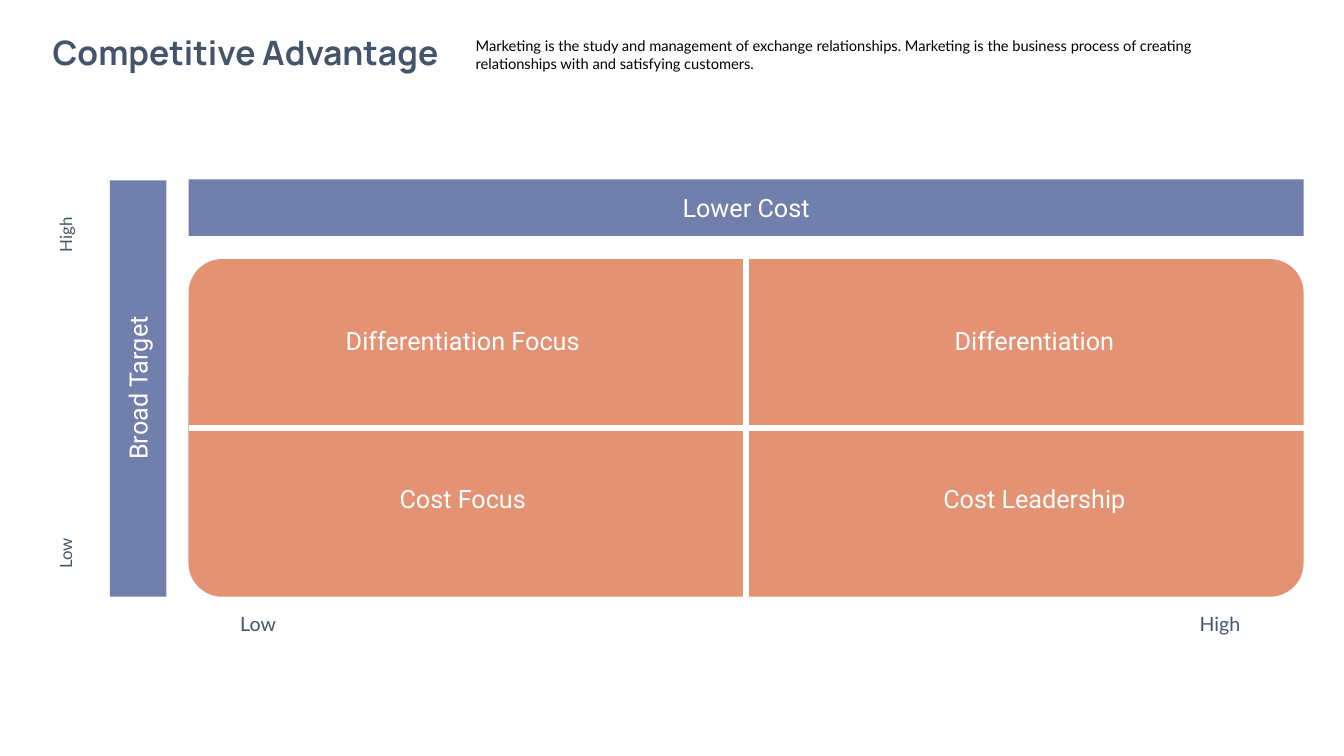
import pptx
import pptx.util
import pptx.dml.color
import pptx.enum.shapes
import pptx.enum.text
import pptx.oxml

Inches, Pt = pptx.util.Inches, pptx.util.Pt
RGBColor = pptx.dml.color.RGBColor
Kind = pptx.enum.shapes.MSO_SHAPE
Align = pptx.enum.text.PP_ALIGN
Fit = pptx.enum.text.MSO_AUTO_SIZE

SLATE = RGBColor(0x44, 0x54, 0x6A)
BLUE = RGBColor(0x71, 0x7F, 0xAC)
CORAL = RGBColor(0xE3, 0x92, 0x74)
WHITE = RGBColor(0xFF, 0xFF, 0xFF)
BLACK = RGBColor(0, 0, 0)

# Content
TITLE = "Competitive Advantage"
INTRO = ("Marketing is the study and management of exchange relationships. "
         "Marketing is the business process of creating relationships with "
         "and satisfying customers.")
GRID = [["Differentiation Focus", "Differentiation"],
        ["Cost Focus", "Cost Leadership"]]
SIDE, TOP = "Broad Target", "Lower Cost"
SIDE_ENDS = [("High", 2.18), ("Low", 5.34)]
BASE_ENDS = [("Low", 2.04), ("High", 11.58)]

# Layout of the matrix
LEFT, UPPER, WIDE, TALL = 1.87, 2.57, 11.06, 3.35
BAR = 0.56
MID_X, MID_Y = LEFT + WIDE / 2, UPPER + TALL / 2

prs = pptx.Presentation()
prs.slide_width, prs.slide_height = Inches(13.33), Inches(7.5)
slide = prs.slides.add_slide(prs.slide_layouts[5])
shapes = slide.shapes


def write(text, box, size=18, font="Roboto", color=WHITE, align=Align.CENTER,
          bold=False, turn=0, wrap=True, item=None):
    x, y, w, h = map(Inches, box)
    if item is None:
        item = shapes.add_textbox(x, y, w, h)
    item.left, item.top, item.width, item.height = x, y, w, h
    item.rotation = turn
    frame = item.text_frame
    frame.text = text
    frame.word_wrap = wrap
    frame.auto_size = Fit.SHAPE_TO_FIT_TEXT
    frame.vertical_anchor = pptx.enum.text.MSO_ANCHOR.TOP
    para = frame.paragraphs[0]
    para.alignment = align
    face = para.runs[0].font
    face.name, face.size, face.bold = font, Pt(size), bold
    face.color.rgb = color


def block(kind, box, color):
    item = shapes.add_shape(kind, *map(Inches, box))
    item.shadow.inherit = False
    item.fill.solid()
    item.fill.fore_color.rgb = color
    item.line.fill.background()
    return item


def rule(*ends):
    line = shapes.add_connector(pptx.enum.shapes.MSO_CONNECTOR.STRAIGHT,
                                *map(Inches, ends))
    line.line.color.rgb = WHITE
    line.line.width = Pt(3.75)
    props = line.element.spPr
    props.append(pptx.oxml.parse_xml(
        '<a:effectLst xmlns:a='
        '"http://schemas.openxmlformats.org/drawingml/2006/main"/>'))


# Heading
write(TITLE, (0.25, 0.27, 4.37, 0.5), size=24, font="Manrope", color=SLATE,
      bold=True, wrap=False, item=shapes.title)
write(INTRO, (4.62, 0.32, 7.72, 0.45), size=10.5, font="Lato", color=BLACK,
      align=Align.LEFT)

# Matrix
panel = block(Kind.ROUNDED_RECTANGLE, (LEFT, UPPER, WIDE, TALL), CORAL)
panel.adjustments[0] = 0.1
for row, names in enumerate(GRID):
    for col, name in enumerate(names):
        write(name, (2.96 + 5.67 * col, 3.18 + 1.57 * row, 3.26, 0.45))

# Axis bars
block(Kind.RECTANGLE, (1.09, 1.79, BAR, 4.13), BLUE)
block(Kind.RECTANGLE, (LEFT, 1.78, WIDE, BAR), BLUE)
write(SIDE, (0.53, 3.65, 1.67, 0.4), turn=270)
write(TOP, (6.26, 1.86, 2.28, 0.4))

# Axis ends
for name, y in SIDE_ENDS:
    write(name, (0.21, y, 0.88, 0.3), size=12, font="Lato", color=SLATE,
          turn=270)
for name, x in BASE_ENDS:
    write(name, (x, 6.02, 1.04, 0.34), size=14, font="Lato", color=SLATE)

# Dividers
rule(MID_X, UPPER, MID_X, 6.02)
rule(LEFT, MID_Y, LEFT + WIDE, MID_Y)

prs.save("out.pptx")
